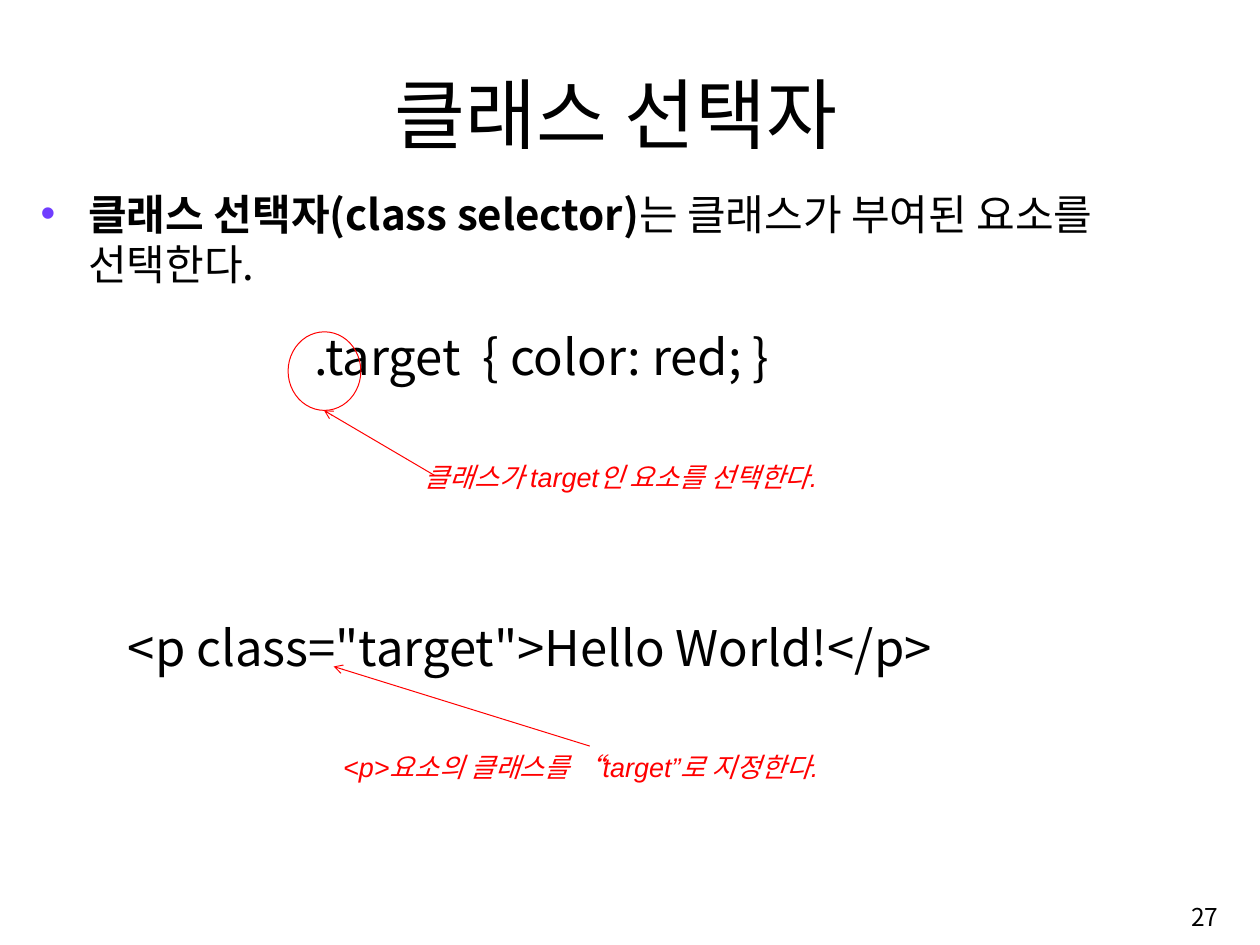
from lxml import etree
from pptx import Presentation
from pptx.dml.color import RGBColor
from pptx.enum import shapes, text
from pptx.oxml.ns import qn
from pptx.util import Inches, Pt

BLACK = RGBColor(0x00, 0x00, 0x00)
RED = RGBColor(0xFF, 0x00, 0x00)
BULLET = "703DFF"
KOREAN = "Noto Sans CJK KR"

CODE = {"size": Pt(36.4), "name": KOREAN}
NOTE = {"size": Pt(20), "name": "Arial", "italic": True}


def add_run(p, content, color, formats):
    r = p.add_run()
    r.text = content
    for key, value in formats.items():
        setattr(r.font, key, value)
    r.font.color.rgb = color
    etree.SubElement(r.font._element, qn("a:ea"), typeface=KOREAN)


def place(sp, left, top, width, height):
    sp.left, sp.top = Inches(left), Inches(top)
    sp.width, sp.height = Inches(width), Inches(height)


prs = Presentation()
prs.slide_width, prs.slide_height = Inches(12.99), Inches(9.74)
s = prs.slides.add_slide(prs.slide_layouts[1])

# Title
title = s.shapes.title
place(title, 1.05, 0.61, 10.61, 1.08)
tf = title.text_frame
tf.auto_size = text.MSO_AUTO_SIZE.NONE
tf.vertical_anchor = text.MSO_ANCHOR.BOTTOM
p = tf.paragraphs[0]
p.alignment = text.PP_ALIGN.CENTER
add_run(p, "클래스 선택자", BLACK, {"size": Pt(57.2), "name": KOREAN})

# Definition
body = s.placeholders[1]
place(body, 0.32, 1.89, 12.32, 7.06)
tf = body.text_frame
tf.auto_size = text.MSO_AUTO_SIZE.NONE
p = tf.paragraphs[0]
p.space_before = Pt(0)
pPr = p._p.get_or_add_pPr()
pPr.set("marL", str(Inches(0.49)))
pPr.set("indent", str(-Inches(0.49)))
color = etree.SubElement(pPr, qn("a:buClr"))
etree.SubElement(color, qn("a:srgbClr"), val=BULLET)
etree.SubElement(pPr, qn("a:buChar"), char="•")
for content, bold in [("클래스 선택자(class selector)", True),
                      ("는 클래스가 부여된 요소를 선택한다.", False)]:
    add_run(p, content, BLACK, {"size": Pt(31.2), "name": KOREAN, "bold": bold})

# Code lines and their explanations
for content, box, color, formats in [
    (".target  { color: red; }", (3.14, 3.32, 5.05, 0.71), BLACK, CODE),
    ("클래스가 target인 요소를 선택한다.", (4.28, 4.7, 4.59, 0.44), RED, NOTE),
    ('<p class="target">Hello World!</p>', (1.22, 6.31, 8.9, 0.71), BLACK, CODE),
    ("<p>요소의 클래스를 “target”로 지정한다.", (3.44, 7.69, 5.27, 0.44), RED, NOTE),
]:
    sp = s.shapes.add_textbox(*map(Inches, box))
    tf = sp.text_frame
    tf.word_wrap = False
    tf.auto_size = text.MSO_AUTO_SIZE.SHAPE_TO_FIT_TEXT
    add_run(tf.paragraphs[0], content, color, formats)

# Ring around the dot of the selector
ring = s.shapes.add_shape(shapes.MSO_SHAPE.OVAL, *map(Inches, (2.97, 3.42, 0.75, 0.81)))
ring.shadow.inherit = False
ring.fill.background()
ring.line.color.rgb = RED
ring.line.width = Pt(0.75)

# Arrows from the explanations to the code
for ends in [(4.48, 4.9, 3.34, 4.23), (6.08, 7.69, 3.44, 6.87)]:
    arrow = s.shapes.add_connector(shapes.MSO_CONNECTOR.STRAIGHT, *map(Inches, ends))
    arrow.line.color.rgb = RED
    arrow.line.width = Pt(0.75)
    etree.SubElement(arrow.line._get_or_add_ln(), qn("a:tailEnd"), type="arrow")
    etree.SubElement(arrow._element.spPr, qn("a:effectLst"))

# Page number
number = s.shapes.add_textbox(*map(Inches, (9.98, 9.15, 2.68, 0.6)))
tf = number.text_frame
tf.word_wrap = True
tf.vertical_anchor = text.MSO_ANCHOR.MIDDLE
p = tf.paragraphs[0]
p.alignment = text.PP_ALIGN.RIGHT
add_run(p, "27", BLACK, {"size": Pt(18.2), "name": KOREAN})

prs.save("out.pptx")
